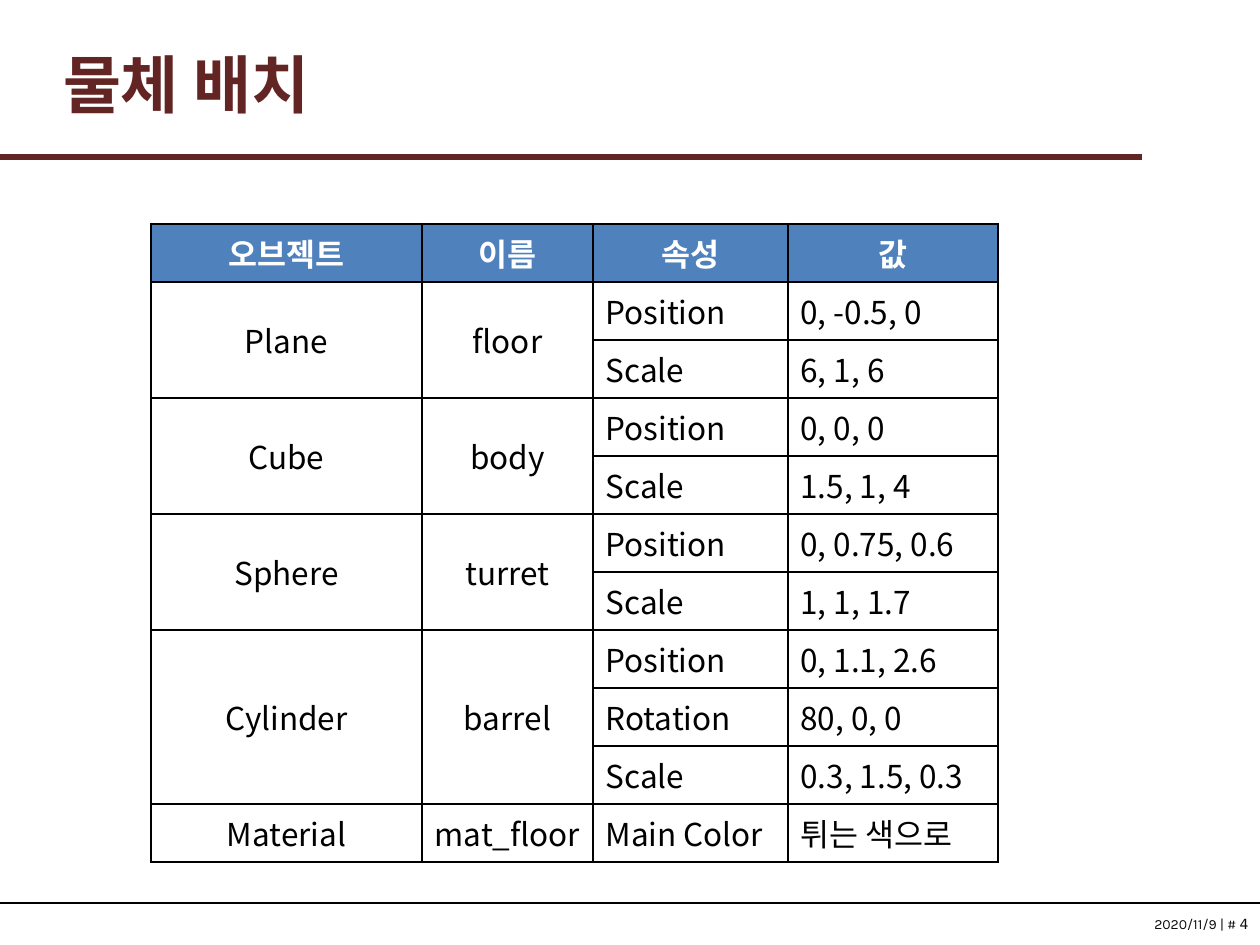
from dataclasses import dataclass

import lxml.etree
import pptx
import pptx.dml.color
import pptx.enum.shapes
import pptx.enum.text
import pptx.oxml.ns
import pptx.util

EMU_PER_PX = 914400 / 126
LATIN = "Karla"
KOREAN = "Noto Sans CJK KR"
MAROON = "632523"
BLACK = "000000"
MIDDLE = pptx.enum.text.MSO_ANCHOR.MIDDLE
ALIGN = pptx.enum.text.PP_ALIGN


@dataclass(frozen=True)
class SceneObject:
    kind: str
    name: str
    properties: tuple[tuple[str, str], ...]


@dataclass(frozen=True)
class Rule:
    y: int
    length: int
    color: str
    weight: int


HEADINGS = ("오브젝트", "이름", "속성", "값")
SCENE = (
    SceneObject("Plane", "floor", (("Position", "0, -0.5, 0"), ("Scale", "6, 1, 6"))),
    SceneObject("Cube", "body", (("Position", "0, 0, 0"), ("Scale", "1.5, 1, 4"))),
    SceneObject("Sphere", "turret", (("Position", "0, 0.75, 0.6"), ("Scale", "1, 1, 1.7"))),
    SceneObject("Cylinder", "barrel", (("Position", "0, 1.1, 2.6"), ("Rotation", "80, 0, 0"),
                                       ("Scale", "0.3, 1.5, 0.3"))),
    SceneObject("Material", "mat_floor", (("Main Color", "튀는 색으로"),)),
)
RULES = (Rule(157, 1142, MAROON, 3), Rule(903, 1260, BLACK, 1))
COLUMN_WIDTHS = (271, 171, 195, 210)
ROW_HEIGHT = 58


def px(length: int) -> int:
    return round(length * EMU_PER_PX)


def rgb(color: str) -> pptx.dml.color.RGBColor:
    return pptx.dml.color.RGBColor.from_string(color)


def add_element(parent, tag: str, **attributes: str):
    return lxml.etree.SubElement(parent, pptx.oxml.ns.qn(tag), attributes)


def format_run(run, size: int, color: str, bold: bool = False, latin: str = LATIN) -> None:
    run.font.size = pptx.util.Pt(size)
    run.font.bold = bold
    run.font.color.rgb = rgb(color)
    run.font.name = latin
    add_element(run.font._element, "a:ea", typeface=KOREAN)


def place(shape, left: int, top: int, width: int, height: int) -> None:
    shape.left, shape.top = px(left), px(top)
    shape.width, shape.height = px(width), px(height)


def draw_title(slide, text: str) -> None:
    title = slide.shapes.title
    place(title, 38, 28, 1134, 110)
    frame = title.text_frame
    frame.text = text
    frame.vertical_anchor = MIDDLE
    frame.margin_left = px(25)
    frame.paragraphs[0].alignment = ALIGN.LEFT
    format_run(frame.paragraphs[0].runs[0], 36, MAROON, bold=True)


def draw_rule(slide, rule: Rule) -> None:
    line = slide.shapes.add_connector(
        pptx.enum.shapes.MSO_CONNECTOR.STRAIGHT, 0, px(rule.y), px(rule.length), px(rule.y))
    line.line.color.rgb = rgb(rule.color)
    line.line.width = pptx.util.Pt(rule.weight)
    add_element(line._element.spPr, "a:effectLst")


def draw_footer(slide, date: str, number: str) -> None:
    footer = slide.shapes.add_textbox(px(1125), px(909), px(136), px(30))
    footer.text_frame.word_wrap = False
    paragraph = footer.text_frame.paragraphs[0]
    paragraph.alignment = ALIGN.RIGHT
    for text, font in ((date, LATIN), (number, "DejaVu Sans")):
        run = paragraph.add_run()
        run.text = text
        format_run(run, 8, "0D0D0D", latin=font)


def draw_borders(cell, outer_sides: dict[str, bool]) -> None:
    properties = cell._tc.get_or_add_tcPr()
    for side, outer in outer_sides.items():
        weight = pptx.util.Pt(1.5 if outer else 1)
        border = add_element(properties, f"a:ln{side}", w=str(weight))
        add_element(add_element(border, "a:solidFill"), "a:srgbClr", val=BLACK)


def write_cell(cell, text: str, centred: bool, heading: bool = False) -> None:
    cell.text_frame.text = text
    cell.vertical_anchor = MIDDLE
    paragraph = cell.text_frame.paragraphs[0]
    paragraph.alignment = ALIGN.CENTER if centred else ALIGN.LEFT
    format_run(paragraph.runs[0], 18, "FFFFFF" if heading else BLACK, heading, KOREAN)


def draw_scene_table(slide) -> None:
    row_count = 1 + sum(len(item.properties) for item in SCENE)
    column_count = len(HEADINGS)
    table = slide.shapes.add_table(
        row_count, column_count, px(151), px(224),
        px(sum(COLUMN_WIDTHS)), px(row_count * ROW_HEIGHT)).table
    table.horz_banding = False
    for column, width in zip(table.columns, COLUMN_WIDTHS):
        column.width = px(width)
    for r, row in enumerate(table.rows):
        row.height = px(ROW_HEIGHT)
        for c, cell in enumerate(row.cells):
            draw_borders(cell, {"L": c == 0, "R": c == column_count - 1,
                                "T": r == 0, "B": r == row_count - 1})
            if r == 0:
                cell.fill.solid()
                cell.fill.fore_color.rgb = rgb("4F81BD")
                write_cell(cell, HEADINGS[c], centred=True, heading=True)
            else:
                cell.fill.background()
    first = 1
    for item in SCENE:
        last = first + len(item.properties) - 1
        for c, text in enumerate((item.kind, item.name)):
            if last > first:
                table.cell(first, c).merge(table.cell(last, c))
            write_cell(table.cell(first, c), text, centred=True)
        for r, entry in enumerate(item.properties, first):
            for c, text in enumerate(entry, 2):
                write_cell(table.cell(r, c), text, centred=False)
        first = last + 1


def main() -> None:
    presentation = pptx.Presentation()
    presentation.slide_width = px(1260)
    presentation.slide_height = px(945)
    slide = presentation.slides.add_slide(presentation.slide_layouts[5])
    draw_footer(slide, "2020/11/9 | # ", "4")
    for rule in RULES:
        draw_rule(slide, rule)
    draw_title(slide, "물체 배치")
    draw_scene_table(slide)
    presentation.save("out.pptx")


if __name__ == "__main__":
    main()
